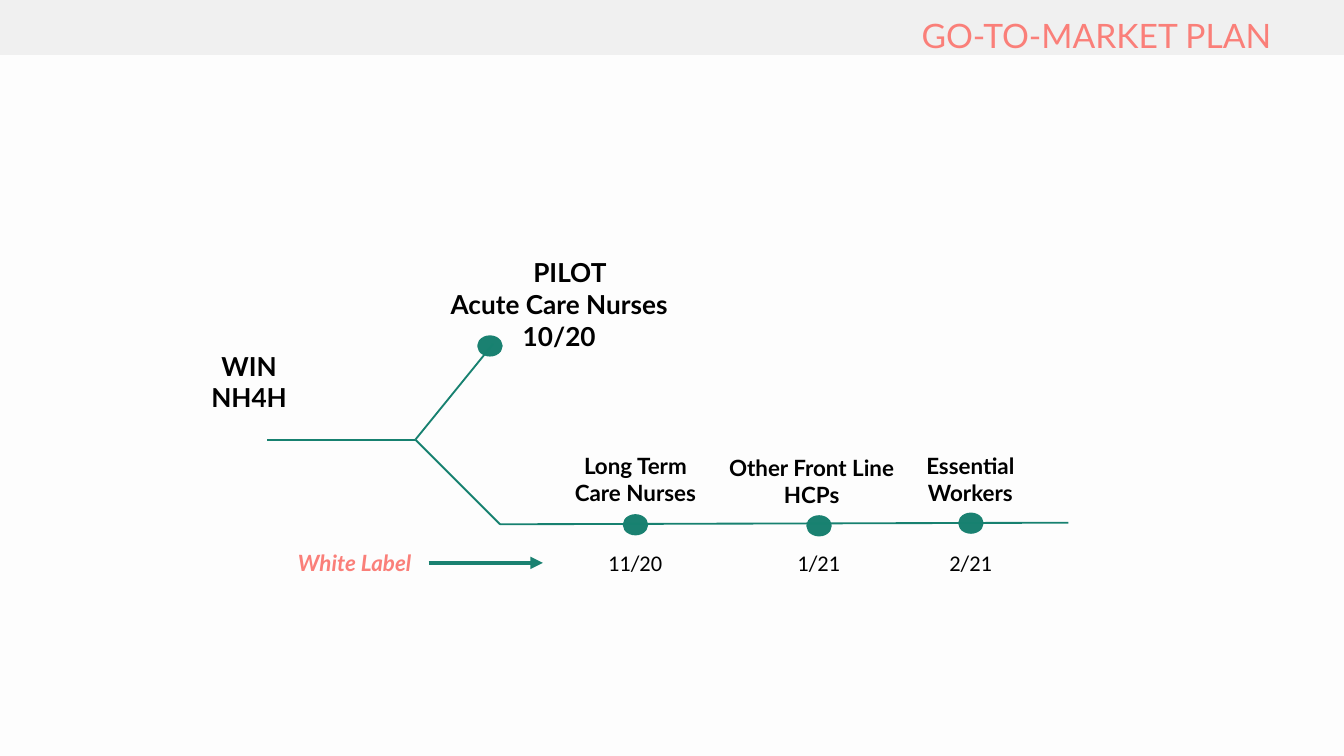
import pptx
import pptx.dml.color
import pptx.enum.shapes
import pptx.enum.text
import pptx.oxml
import pptx.oxml.ns
import pptx.util
from pptx.util import Cm

COLORS = {
    "background": "FDFDFD",
    "band": "F0F0F0",
    "coral": "FA7F79",
    "path": "178170",
    "dot": "1A8171",
    "text": "000000",
}
ALIGN = pptx.enum.text.PP_ALIGN
DOT_WIDTH, DOT_HEIGHT = 0.41, 0.33


def rgb(name):
    return pptx.dml.color.RGBColor.from_string(COLORS[name])


class Timeline:
    """Holds the style and the slide being drawn."""

    label_format = {"name": "Lato", "size": pptx.util.Pt(14), "bold": True}

    def __init__(self, slide):
        self.slide = slide
        slide.background.fill.solid()
        slide.background.fill.fore_color.rgb = rgb("background")

    def set_text(self, shape, lines, align, color="text", **changes):
        frame = shape.text_frame
        frame.word_wrap = True
        frame.vertical_anchor = pptx.enum.text.MSO_ANCHOR.TOP
        frame.text = "\n".join(lines)
        for paragraph in frame.paragraphs:
            paragraph.alignment = align
            for name, value in {**self.label_format, **changes}.items():
                setattr(paragraph.font, name, value)
            paragraph.font.color.rgb = rgb(color)

    def title(self, text, left, top, width, height):
        shape = self.slide.shapes.title
        places = {"left": left, "top": top, "width": width, "height": height}
        for name, value in places.items():
            setattr(shape, name, Cm(value))
        self.set_text(shape, [text], ALIGN.RIGHT, "coral",
                      size=pptx.util.Pt(18), bold=False)
        frame = shape.text_frame
        frame.auto_size = pptx.enum.text.MSO_AUTO_SIZE.NONE
        for side in ("left", "top", "right", "bottom"):
            setattr(frame, f"margin_{side}", Cm(0.25))

    def shape(self, kind, left, top, width, height, color):
        shape = self.slide.shapes.add_shape(
            kind, Cm(left), Cm(top), Cm(width), Cm(height))
        shape.shadow.inherit = False
        shape.fill.solid()
        shape.fill.fore_color.rgb = rgb(color)
        shape.line.fill.background()
        return shape

    def band(self, left, top, width, height):
        shape = self.shape(pptx.enum.shapes.MSO_SHAPE.RECTANGLE,
                           left, top, width, height, "band")
        # The band lies behind the title
        self.slide.shapes.title._element.addprevious(shape._element)

    def dot(self, center, middle):
        shape = self.shape(pptx.enum.shapes.MSO_SHAPE.OVAL,
                           center - DOT_WIDTH / 2, middle - DOT_HEIGHT / 2,
                           DOT_WIDTH, DOT_HEIGHT, "dot")
        shape.line.color.rgb = rgb("dot")
        shape.line.width = pptx.util.Pt(2)

    def label(self, lines, left, top, width, height,
              align=ALIGN.CENTER, color="text", **changes):
        box = self.slide.shapes.add_textbox(
            Cm(left), Cm(top), Cm(width), Cm(height))
        self.set_text(box, lines, align, color, **changes)

    def line(self, start, end, color="path", width=1, arrow=False):
        connector = self.slide.shapes.add_connector(
            pptx.enum.shapes.MSO_CONNECTOR.STRAIGHT,
            *(Cm(value) for value in start + end))
        connector.line.color.rgb = rgb(color)
        connector.line.width = pptx.util.Pt(width)
        properties = connector._element.spPr
        namespace = pptx.oxml.ns.nsdecls("a")
        if arrow:
            properties.get_or_add_ln().append(pptx.oxml.parse_xml(
                f'<a:tailEnd {namespace} type="triangle"/>'))
        properties.append(pptx.oxml.parse_xml(f"<a:effectLst {namespace}/>"))


def main():
    presentation = pptx.Presentation()
    presentation.slide_width = Cm(25.4)
    presentation.slide_height = Cm(14.29)
    timeline = Timeline(
        presentation.slides.add_slide(presentation.slide_layouts[5]))

    # Header
    timeline.band(-0.15, -0.08, 25.7, 1.12)
    timeline.title("GO-TO-MARKET PLAN", 15.11, 0.03, 9.17, 1.57)

    # Start and pilot
    timeline.label(["WIN NH4H"], 3.58, 6.5, 2.26, 1.45)
    timeline.label(["PILOT"], 9.83, 4.72, 2.31, 0.86, ALIGN.LEFT)
    timeline.label(["Acute Care Nurses", "10/20"], 7.85, 5.33, 5.44, 1.45)
    timeline.dot(9.26, 6.54)

    # Milestones: name, date, dot center, dot middle, name center, top, width
    small = pptx.util.Pt(12)
    milestones = [
        ("Long Term Care Nurses", "11/20", 12.01, 9.92, 12.01, 8.43, 3.2),
        ("Other Front Line HCPs", "1/21", 15.48, 9.94, 15.34, 8.46, 4.62),
        ("Essential Workers", "2/21", 18.35, 9.89, 18.34, 8.43, 2.79),
    ]
    for name, date, center, middle, name_center, top, width in milestones:
        timeline.dot(center, middle)
        timeline.label([name], name_center - width / 2, top, width, 1.27,
                       size=small)
        timeline.label([date], center - 1.02, 10.26, 2.03, 0.76,
                       name="Calibri", size=small, bold=False)

    # Forked path
    fork, bend = (7.85, 8.31), (9.45, 9.91)
    timeline.line((5.05, 8.31), fork)
    timeline.line(fork, (9.32, 6.5))
    timeline.line(fork, bend)
    timeline.line(bend, (20.19, 9.88))

    # White label arrow
    timeline.label(["White Label"], 5.38, 10.26, 3.91, 0.76, ALIGN.LEFT,
                   "coral", size=small, italic=True)
    timeline.line((8.1, 10.64), (10.26, 10.64), "dot", 2.25, arrow=True)

    presentation.save("out.pptx")


if __name__ == "__main__":
    main()
